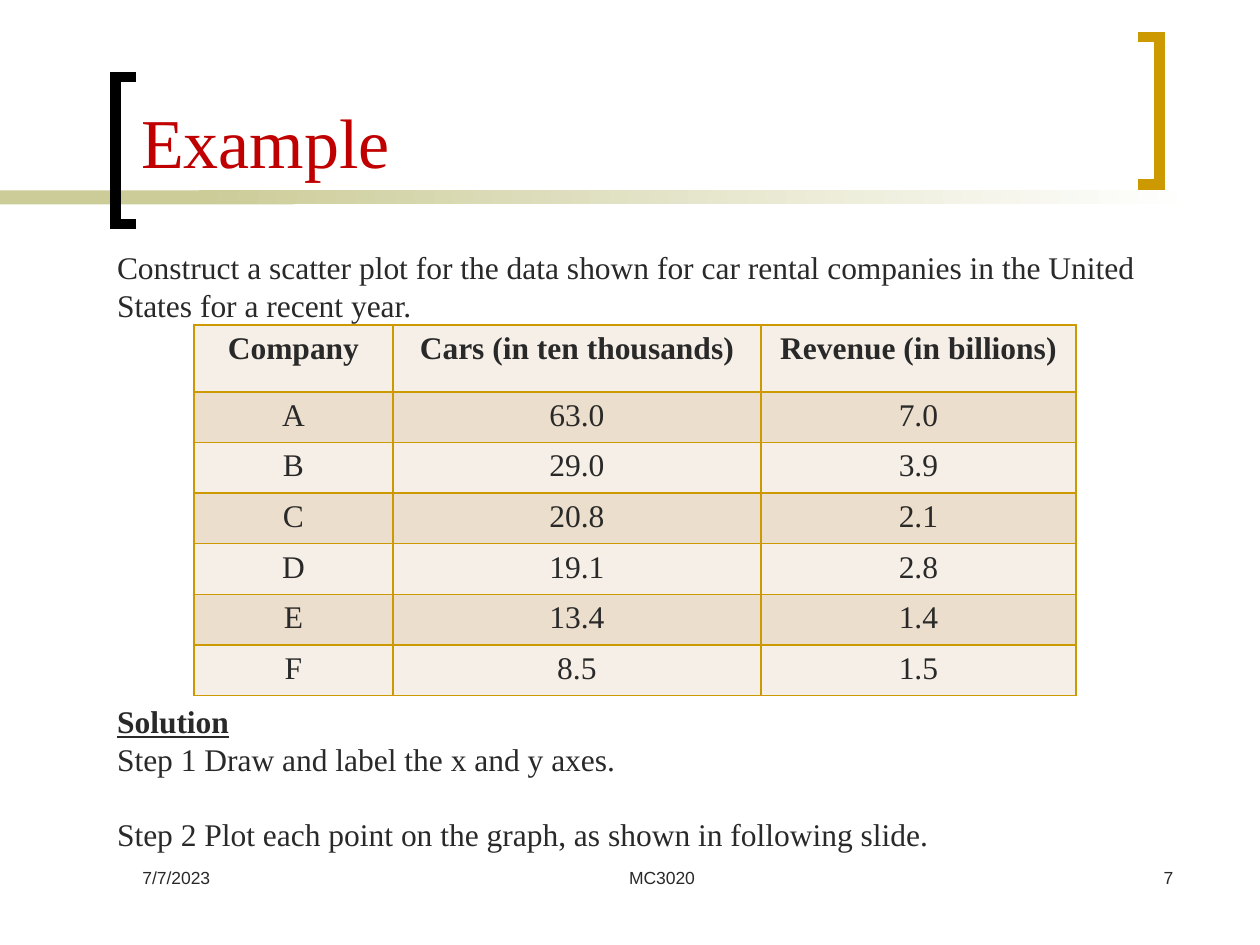
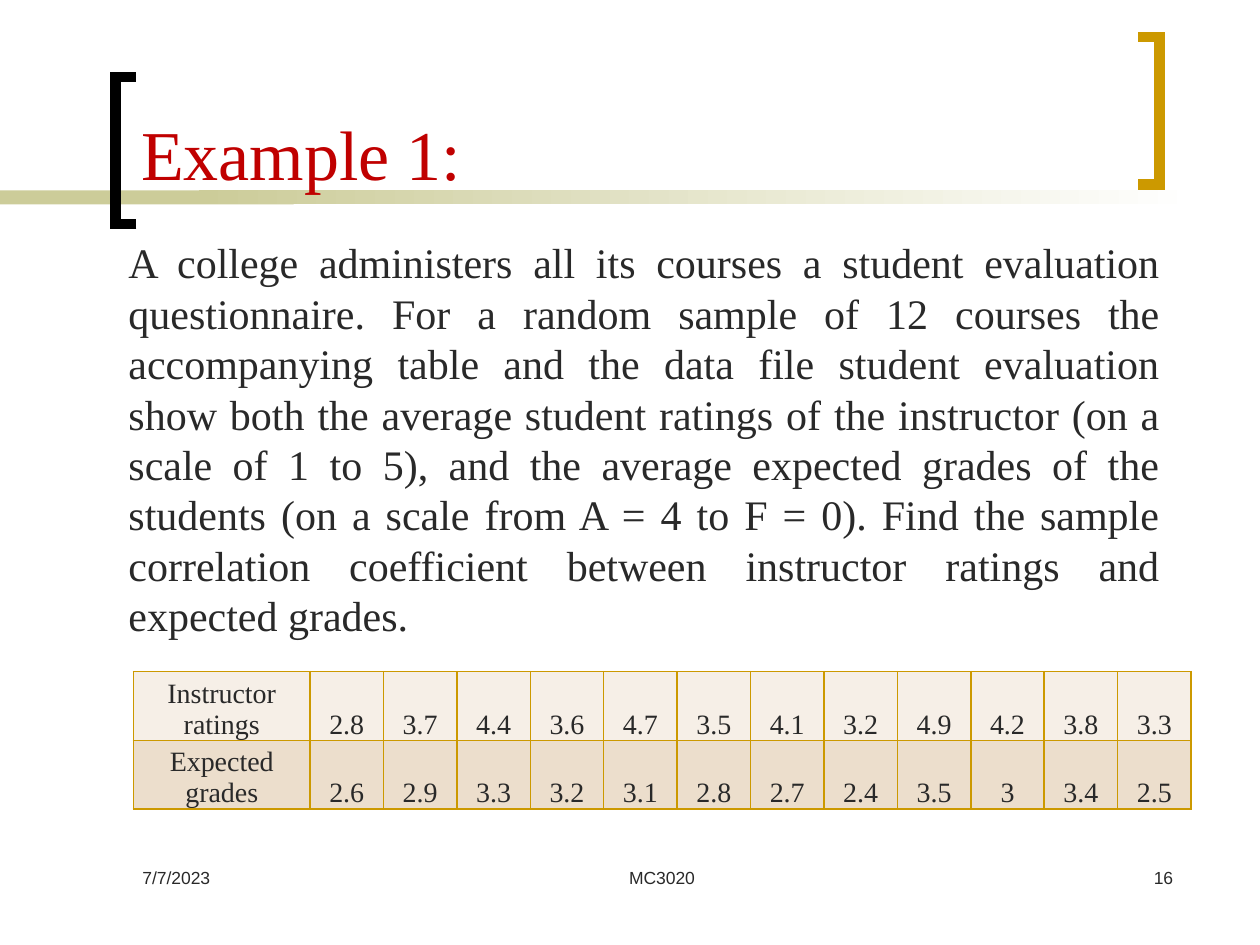
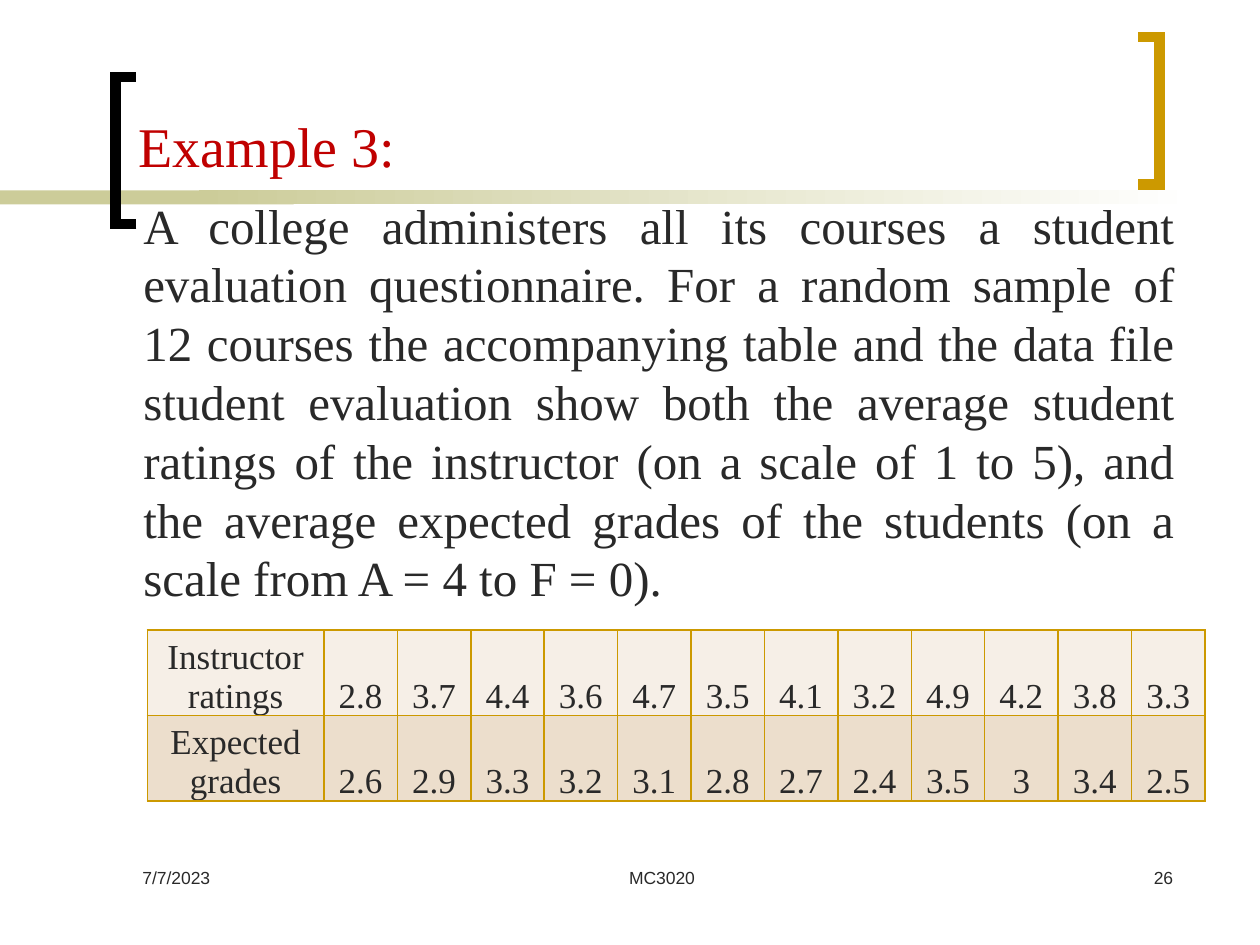
from lxml import etree
from pptx import Presentation, util as u
from pptx.dml.color import RGBColor
from pptx.enum import shapes, text
from pptx.oxml.ns import qn

COLORS = {"ink": "292929", "title": "C00000", "olive": "CCCC99", "gold": "CC9900",
          "black": "000000", "white": "FFFFFF", "light": "F6EFE7", "tan": "ECDECC"}
SERIF, SANS = "Times New Roman", "Arial"
LEFT, CENTER, RIGHT, JUSTIFY = (text.PP_ALIGN.LEFT, text.PP_ALIGN.CENTER,
                                text.PP_ALIGN.RIGHT, text.PP_ALIGN.JUSTIFY)
BODY_LEADING = 1.2  # line pitch of body text, in font sizes


def rgb(name):
    return RGBColor.from_string(COLORS[name])


def write(frame, lines, size, align=LEFT, color="ink", font=SERIF, leading=None, **frame_format):
    """Fill a text frame; each line is a text with its own font and paragraph formats."""
    for key, value in {"word_wrap": True, **frame_format}.items():
        setattr(frame, key, value)
    for i, (words, font_format, spacing) in enumerate(lines):
        paragraph = frame.add_paragraph() if i else frame.paragraphs[0]
        paragraph_format = {"alignment": align, **spacing}
        if leading:
            paragraph_format["line_spacing"] = u.Pt(size * leading)
        for key, value in paragraph_format.items():
            setattr(paragraph, key, value)
        run = paragraph.add_run()
        run.text = words
        for key, value in {"name": font, "size": u.Pt(size), **font_format}.items():
            setattr(run.font, key, value)
        run.font.color.rgb = rgb(color)


# Content
survey = ("A college administers all its courses a student evaluation questionnaire. "
          "For a random sample of 12 courses the accompanying table and the data file "
          "student evaluation show both the average student ratings of the instructor "
          "(on a scale of 1 to 5), and the average expected grades of the students "
          "(on a scale from A = 4 to F = 0).")
question = (" Find the sample correlation coefficient between instructor ratings "
            "and expected grades.")
rental_text = [
    ("Construct a scatter plot for the data shown for car rental companies in the United", {}, {}),
    ("States for a recent year.", {}, {}),
    ("Solution", {"bold": True, "underline": True}, {"space_before": u.Pt(216)}),
    ("Step 1 Draw and label the x and y axes.", {}, {}),
    ("Step 2 Plot each point on the graph, as shown in following slide.", {},
     {"space_before": u.Pt(21.6)}),
]
rentals = [
    ["Company", "Cars (in ten thousands)", "Revenue (in billions)"],
    ["A", "63.0", "7.0"],
    ["B", "29.0", "3.9"],
    ["C", "20.8", "2.1"],
    ["D", "19.1", "2.8"],
    ["E", "13.4", "1.4"],
    ["F", "8.5", "1.5"],
]
ratings = [
    ["Instructor ratings", *"2.8 3.7 4.4 3.6 4.7 3.5 4.1 3.2 4.9 4.2 3.8 3.3".split()],
    ["Expected grades", *"2.6 2.9 3.3 3.2 3.1 2.8 2.7 2.4 3.5 3 3.4 2.5".split()],
]
rating_columns = [3.56] + [1.48] * 12
rating_cell = {"vertical_anchor": text.MSO_ANCHOR.BOTTOM, "margin_left": u.Cm(0.03),
               "margin_right": u.Cm(0.03), "margin_top": u.Cm(0.03), "margin_bottom": 0}

# Boxes are left, top, width, height in cm
pages = [
    {"number": "7", "title": "Example", "title_box": (2.59, 0.28, 19.89, 3.53), "title_size": 40,
     "body": rental_text, "body_box": (2.11, 4.88, 21.39, 12.57), "body_size": 18,
     "body_align": LEFT, "data": rentals, "data_at": (3.91, 6.55), "data_size": 18,
     "columns": [4.01, 7.42, 6.35], "rows": [1.35] + [1.02] * 6, "cell": {}, "header": True},
    {"number": "16", "title": "Example 1:", "title_box": (2.59, 0.1, 19.89, 3.94),
     "title_size": 40, "body": [(survey + question, {}, {})],
     "body_box": (2.34, 4.65, 21.29, 11.43), "body_size": 24, "body_align": JUSTIFY,
     "data": ratings, "data_at": (2.69, 13.54), "data_size": 16, "columns": rating_columns,
     "rows": [1.28] * 2, "cell": rating_cell, "header": False},
    {"number": "26", "title": "Example 3:", "title_box": (2.54, 2.11, 19.48, 1.63),
     "title_size": 32, "body": [(survey, {}, {})], "body_box": (2.64, 3.81, 21.29, 8.89),
     "body_size": 28, "body_align": JUSTIFY, "data": ratings, "data_at": (2.97, 12.7),
     "data_size": 20, "columns": rating_columns, "rows": [1.71] * 2, "cell": rating_cell,
     "header": False},
]

# Shared decoration: brackets run from open end to open end
brackets = [
    ("black", [(2.75, 4.52), (2.33, 4.52), (2.33, 1.55), (2.75, 1.55)]),
    ("gold", [(22.95, 0.75), (23.37, 0.75), (23.37, 3.72), (22.95, 3.72)]),
]

prs = Presentation()
prs.slide_width, prs.slide_height = u.Cm(25.4), u.Cm(19.05)

for page in pages:
    slide = prs.slides.add_slide(prs.slide_layouts[5])

    # Band under the title, fading to white
    for left, width, fades in [(0, 5.92, False), (4.01, 20.12, True)]:
        band = slide.shapes.add_shape(shapes.MSO_SHAPE.RECTANGLE, u.Cm(left), u.Cm(3.84),
                                      u.Cm(width), u.Cm(0.28))
        band.shadow.inherit = False
        band.line.fill.background()
        if fades:
            band.fill.gradient()
            band.fill.gradient_angle = 0
            for stop, color in zip(band.fill.gradient_stops, ("olive", "white")):
                stop.color.rgb = rgb(color)
        else:
            band.fill.solid()
            band.fill.fore_color.rgb = rgb("olive")

    # Square brackets around the title
    for color, corners in brackets:
        points = [(u.Cm(x), u.Cm(y)) for x, y in corners]
        outline = slide.shapes.build_freeform(*points[0])
        outline.add_line_segments(points[1:], close=False)
        bracket = outline.convert_to_shape()
        bracket.shadow.inherit = False
        bracket.fill.background()
        bracket.line.width = u.Pt(6)
        bracket.line.color.rgb = rgb(color)
        etree.SubElement(bracket.line._get_or_add_ln(), qn("a:miter"), lim="800000")

    # Title, brought in front of the band
    title = slide.shapes.title
    title.left, title.top, title.width, title.height = map(u.Cm, page["title_box"])
    write(title.text_frame, [(page["title"], {}, {})], page["title_size"], color="title",
          vertical_anchor=text.MSO_ANCHOR.BOTTOM, auto_size=text.MSO_AUTO_SIZE.NONE)
    slide.shapes._spTree.append(title._element)

    # Body
    body = slide.shapes.add_textbox(*map(u.Cm, page["body_box"]))
    write(body.text_frame, page["body"], page["body_size"], page["body_align"],
          leading=BODY_LEADING)

    # Data table
    rows, columns = page["rows"], page["columns"]
    table = slide.shapes.add_table(len(rows), len(columns), *map(u.Cm, page["data_at"]),
                                   u.Cm(sum(columns)), u.Cm(sum(rows))).table
    table.first_row = table.horz_banding = False
    for column, width in zip(table.columns, columns):
        column.width = u.Cm(width)
    for r, (values, height) in enumerate(zip(page["data"], rows)):
        table.rows[r].height = u.Cm(height)
        for c, value in enumerate(values):
            cell = table.cell(r, c)
            for key, setting in page["cell"].items():
                setattr(cell, key, setting)
            for side in ("a:lnL", "a:lnR", "a:lnT", "a:lnB"):
                border = etree.SubElement(cell._tc.get_or_add_tcPr(), qn(side),
                                          w=str(u.Pt(1)))
                paint = etree.SubElement(border, qn("a:solidFill"))
                etree.SubElement(paint, qn("a:srgbClr"), val=COLORS["gold"])
            cell.fill.solid()
            cell.fill.fore_color.rgb = rgb("tan" if r % 2 else "light")
            bold = page["header"] and r == 0
            write(cell.text_frame, [(value, {"bold": bold}, {})], page["data_size"], CENTER)

    # Footer: date, course, page number
    for words, left, width, align in [("7/7/2023", 2.62, 5.28, LEFT),
                                      ("MC3020", 9.32, 8.05, CENTER),
                                      (page["number"], 18.62, 5.28, RIGHT)]:
        footer = slide.shapes.add_textbox(u.Cm(left), u.Cm(17.35), u.Cm(width), u.Cm(1.27))
        write(footer.text_frame, [(words, {}, {})], 10, align, font=SANS)

prs.save("out.pptx")
